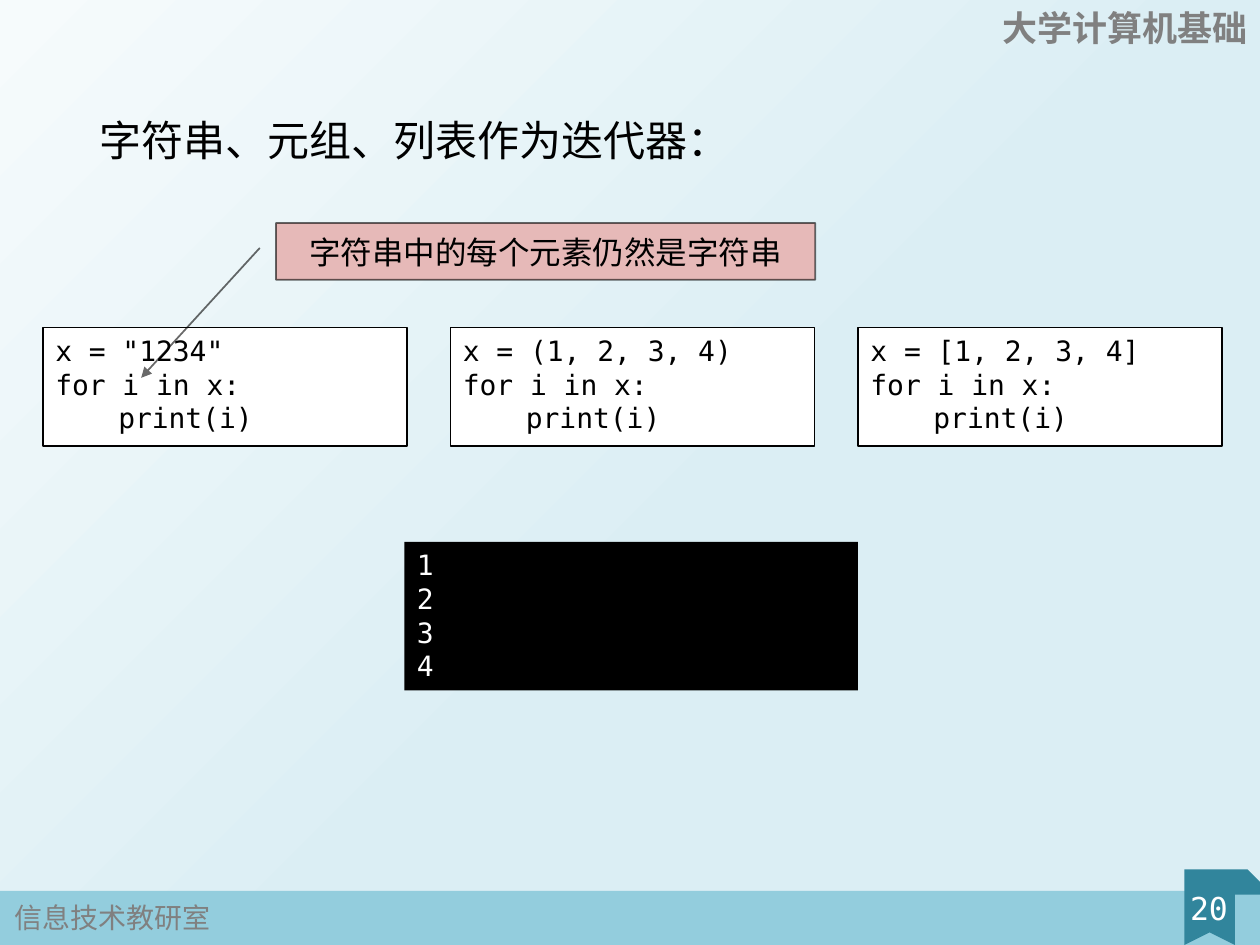
from math import cos, radians, sin

from lxml.etree import SubElement
from pptx import Presentation
from pptx.dml.color import RGBColor
from pptx.enum.shapes import MSO_SHAPE as Shape
from pptx.enum.text import MSO_ANCHOR as Anchor, PP_ALIGN as Align
from pptx.oxml.ns import qn
from pptx.util import Inches, Pt

# Grid of square cells, 0.1 inch each
COLUMNS, ROWS = 100, 75
MONO, CJK = "DejaVu Sans Mono", "Noto Sans CJK JP"
BLACK, WHITE, GREY, TEAL = "000000", "FFFFFF", "808080", "31859C"


def cells(count):
    return Inches(count / 10)


def color(hex_code):
    return RGBColor.from_string(hex_code)


def write(shape, lines, size, ink, font=MONO, align=Align.LEFT,
          anchor=Anchor.TOP, bold=False, wrap=True):
    frame = shape.text_frame
    frame.word_wrap = wrap
    frame.vertical_anchor = anchor
    frame.text = "\n".join(lines)
    for paragraph in frame.paragraphs:
        paragraph.alignment = align
        style = paragraph.font
        style.name, style.size, style.bold = font, Pt(size), bold
        style.color.rgb = color(ink)
        # Chinese glyphs take the East Asian face
        defaults = paragraph._p.pPr.find(qn("a:defRPr"))
        SubElement(defaults, qn("a:ea"), typeface=CJK)


def paint(shape, fill, line=None):
    shape.shadow.inherit = False
    shape.fill.solid()
    shape.fill.fore_color.rgb = color(fill)
    if line:
        shape.line.color.rgb = color(line)
        shape.line.width = Pt(1)
    else:
        shape.line.fill.background()


def add_box(slide, area, fill, line=None, kind=Shape.RECTANGLE):
    box = slide.shapes.add_shape(kind, *map(cells, area))
    paint(box, fill, line)
    return box


def add_label(slide, area, text, size, ink, **style):
    label = slide.shapes.add_textbox(*map(cells, area))
    write(label, [text], size, ink, **style)
    return label


def add_heading(slide, area, text):
    heading = slide.shapes.add_textbox(*map(cells, area))
    paragraph = heading.text_frame.paragraphs[0]
    paragraph.line_spacing = 1.2
    properties = paragraph._p.get_or_add_pPr()
    properties.set("marL", str(cells(4.9)))
    properties.set("indent", str(-cells(4.9)))
    bullet_color = SubElement(properties, qn("a:buClr"))
    SubElement(bullet_color, qn("a:srgbClr"), val="215968")
    SubElement(properties, qn("a:buChar"), char="■")
    write(heading, [text], 24, BLACK)


def add_callout(slide, area, text):
    callout = add_box(slide, area, "E6B9B8", BLACK, Shape.LINE_CALLOUT_1)
    # Leader start and tip as shares of the callout: y, x, y, x
    for index, share in enumerate((0.44, -0.03, 2.73, -0.25)):
        callout.adjustments[index] = share
    outline = callout.line._get_or_add_ln()
    SubElement(outline.find(".//" + qn("a:srgbClr")), qn("a:alpha"), val="59000")
    SubElement(outline, qn("a:tailEnd"), type="triangle")
    write(callout, [text], 18, BLACK, align=Align.CENTER, anchor=Anchor.MIDDLE)


def arc(center_x, center_y, radius, start, end, steps=10):
    angles = (radians(start + (end - start) * i / steps) for i in range(steps + 1))
    return [(center_x + radius * cos(a), center_y - radius * sin(a)) for a in angles]


def add_ribbon(slide):
    banner = arc(95.1, 70, 1, 180, 90) + [
        (98.2, 69), (97.9, 69.4), (97.8, 69.7), (97.8, 74.9), (95.9, 74.1), (94.1, 74.9)]
    roll = arc(98.8, 69.8, 0.8, 180, 0) + [(99.6, 70.7), (98, 70.7)]
    builder = slide.shapes.build_freeform(*banner[0], scale=cells(1))
    builder.add_line_segments(banner[1:])
    builder.move_to(*roll[0])
    builder.add_line_segments(roll[1:])
    paint(builder.convert_to_shape(), TEAL)


def set_background(slide):
    fill = slide.background.fill
    fill.gradient()
    fill.gradient_angle = 315
    for stop, share, shade in zip(fill.gradient_stops, (0, 0.56), ("F6FBFC", "DBEEF4")):
        stop.position = share
        stop.color.rgb = color(shade)


def main():
    deck = Presentation()
    deck.slide_width, deck.slide_height = cells(COLUMNS), cells(ROWS)
    slide = deck.slides.add_slide(deck.slide_layouts[6])
    set_background(slide)

    # Footer band, course name and page number
    add_box(slide, (0, 70.7, COLUMNS, 4.3), "93CDDD")
    add_ribbon(slide)
    add_label(slide, (0.2, 71, 17.7, 3.7), "信息技术教研室", 16, GREY, font=CJK, wrap=False)
    add_label(slide, (78.3, 0, 21.7, 4.4), "大学计算机基础", 20, GREY,
              font=CJK, align=Align.RIGHT, bold=True)
    add_label(slide, (92.4, 70.1, 7.1, 4), "20", 18, WHITE, align=Align.CENTER)

    add_heading(slide, (6.9, 8.6, 86.2, 7.7), "字符串、元组、列表作为迭代器：")

    # One loop for each kind of sequence
    for column, sequence in enumerate(('"1234"', "(1, 2, 3, 4)", "[1, 2, 3, 4]")):
        code = add_box(slide, (3.4 + 32.35 * column, 26, 28.9, 9.4), WHITE, BLACK)
        write(code, [f"x = {sequence}", "for i in x:", "\tprint(i)"], 16, BLACK)

    # Shared output
    output = add_box(slide, (32.1, 43, 36, 11.8), BLACK)
    write(output, "1234", 16, WHITE)

    add_callout(slide, (21.9, 17.7, 42.8, 4.5), "字符串中的每个元素仍然是字符串")
    deck.save("out.pptx")


if __name__ == "__main__":
    main()
